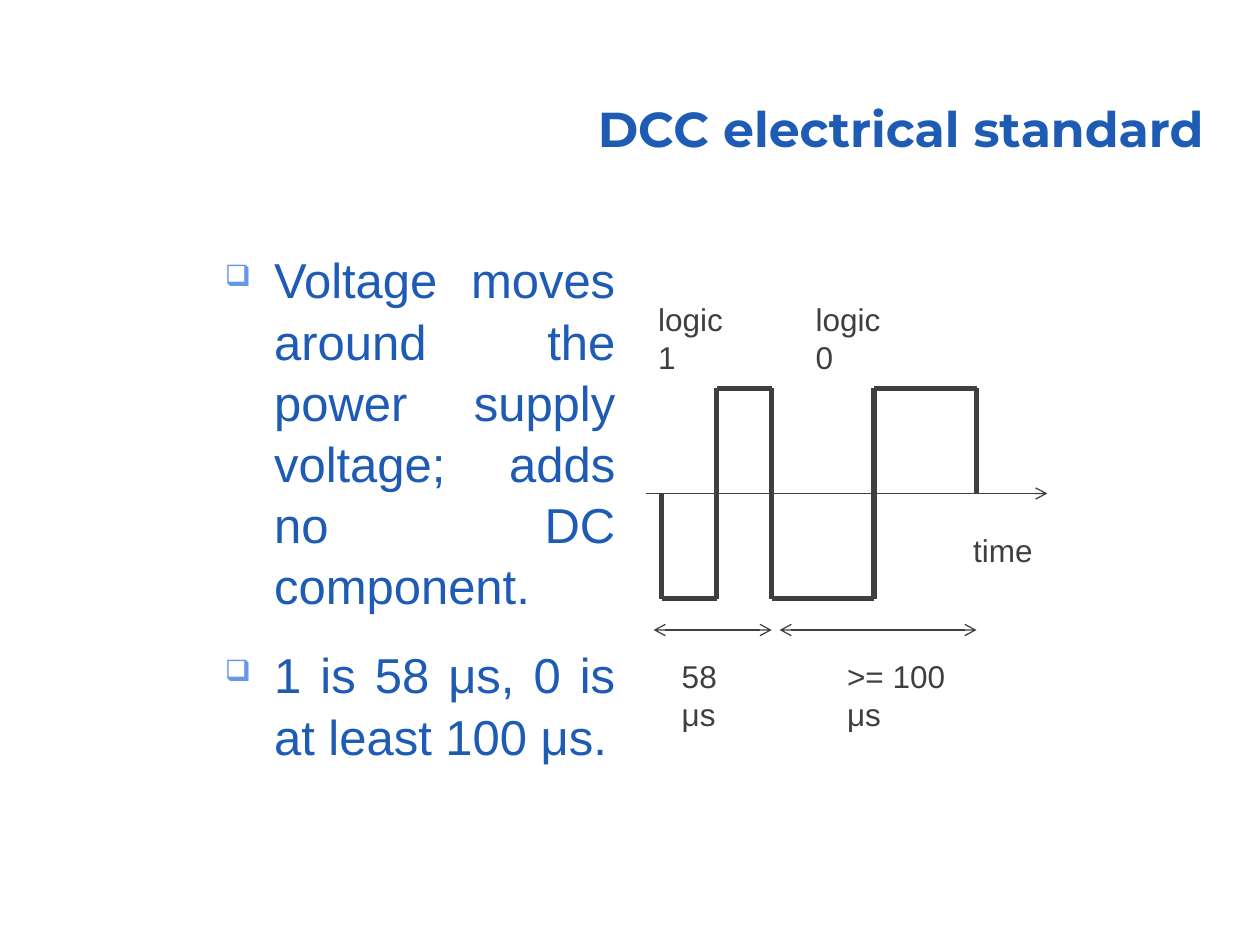
from lxml import etree
from pptx import Presentation
from pptx import util as u
from pptx.dml.color import RGBColor
from pptx.enum import shapes, text
from pptx.oxml.ns import qn

COLUMN, ROW = u.Inches(1 / 16), u.Inches(1 / 12)  # grid of 160 by 90


def color(hex_value):
    return RGBColor.from_string(hex_value)


def add_element(parent, tag, **values):
    element = etree.SubElement(parent, qn(tag))
    for name, value in values.items():
        element.set(name, value)
    return element


def set_values(target, values):
    for name, value in values.items():
        setattr(target, name, value)


class Sheet:
    BLUE, LIGHT_BLUE, GRAY = "1E5BB4", "6599E5", "3D3F41"
    TITLE = {"name": "Montserrat", "size": u.Pt(28), "bold": True}
    BODY = {"name": "Arial", "size": u.Pt(28)}
    LABEL = {"name": "Arial", "size": u.Pt(18)}

    def __init__(self, presentation):
        self.slide = presentation.slides.add_slide(presentation.slide_layouts[6])

    def text_box(self, column, row, columns, rows, lines, font, fill, layout,
                 wrap=True, anchor=text.MSO_ANCHOR.TOP, bullet=None):
        box = self.slide.shapes.add_textbox(
            *map(int, (column * COLUMN, row * ROW, columns * COLUMN, rows * ROW)))
        frame = box.text_frame
        set_values(frame, {"word_wrap": wrap, "vertical_anchor": anchor})
        for index, line in enumerate(lines):
            paragraph = frame.add_paragraph() if index else frame.paragraphs[0]
            if bullet:
                self.add_bullet(paragraph, bullet)
            set_values(paragraph, layout)
            if index:
                paragraph.space_before = u.Pt(16)
            run = paragraph.add_run()
            run.text = line
            set_values(run.font, font)
            run.font.color.rgb = color(fill)

    def add_bullet(self, paragraph, bullet):
        properties = paragraph._p.get_or_add_pPr()
        indent = u.Inches(0.39)
        properties.set("marL", str(indent))
        properties.set("indent", str(-indent))
        add_element(add_element(properties, "a:buClr"), "a:srgbClr", val=self.LIGHT_BLUE)
        add_element(properties, "a:buSzPct", val="60000")
        add_element(properties, "a:buChar", char=bullet)

    def title(self, line):
        self.text_box(47, 6.4, 107.4, 9.2, [line], self.TITLE, self.BLUE,
                      {"alignment": text.PP_ALIGN.RIGHT, "line_spacing": 0.9},
                      anchor=text.MSO_ANCHOR.BOTTOM)

    def body(self, lines):
        self.text_box(27, 23, 52.7, 54.7, lines, self.BODY, self.BLUE,
                      {"alignment": text.PP_ALIGN.JUSTIFY, "line_spacing": 1.04},
                      bullet="❑")

    def label(self, column, row, columns, line):
        self.text_box(column, row, columns, 4.8, [line], self.LABEL, self.GRAY,
                      {"alignment": text.PP_ALIGN.LEFT}, wrap=False)

    def line(self, start, end, width, arrows=()):
        points = [int(size * step) for point in (start, end)
                  for size, step in zip(point, (COLUMN, ROW))]
        connector = self.slide.shapes.add_connector(
            shapes.MSO_CONNECTOR.STRAIGHT, *points)
        connector.line.width = u.Pt(width)
        connector.line.color.rgb = color(self.GRAY)
        for arrow in arrows:
            add_element(connector.line._get_or_add_ln(), arrow, type="arrow")
        add_element(connector._element.spPr, "a:effectLst")


def main():
    presentation = Presentation()
    set_values(presentation, {"slide_width": u.Inches(10), "slide_height": u.Inches(7.5)})
    sheet = Sheet(presentation)

    # Wording
    sheet.title("DCC electrical standard")
    sheet.body(["Voltage moves around the power supply voltage; adds no DC component.",
                "1 is 58 μs, 0 is at least 100 μs."])

    # Time axis
    high, middle, low = 37, 47, 57
    sheet.line((82, middle), (133, middle), 0.75, ["a:tailEnd"])

    # Signal: low then high for each bit, every edge split at the axis
    wave = [(84, middle)]
    for start, half, end in ((84, 91, 98), (98, 111, 124)):
        wave += [(start, low), (half, low), (half, middle),
                 (half, high), (end, high), (end, middle)]
    for start, end in zip(wave, wave[1:]):
        sheet.line(start, end, 3)

    # Bit durations
    for start, end in ((83, 98), (99, 124)):
        sheet.line((start, 60), (end, 60), 0.75, ["a:headEnd", "a:tailEnd"])

    # Labels
    for column, row, columns, line in (
            (82, 28, 14.7, "logic 1"), (102, 28, 14.7, "logic 0"),
            (122, 50, 10.7, "time"),
            (85, 62, 13, "58 μs"), (106, 62, 21, ">= 100 μs")):
        sheet.label(column, row, columns, line)

    presentation.save("out.pptx")


if __name__ == "__main__":
    main()
